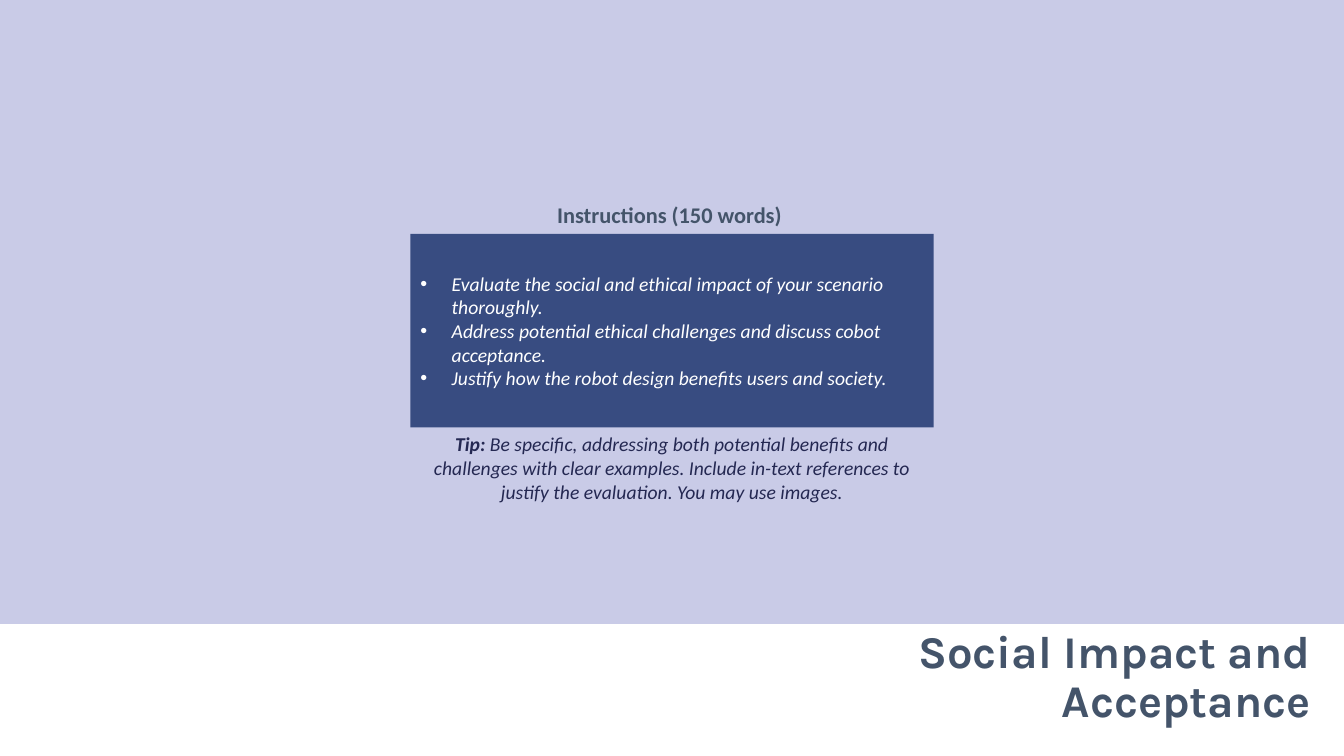
import pptx
import pptx.dml.color
import pptx.enum.shapes
import pptx.enum.text
import pptx.util

Inches = pptx.util.Inches
RGBColor = pptx.dml.color.RGBColor
ALIGN = pptx.enum.text.PP_ALIGN
MIDDLE = pptx.enum.text.MSO_ANCHOR.MIDDLE
TOP = pptx.enum.text.MSO_ANCHOR.TOP

LILAC = RGBColor(0xC9, 0xCB, 0xE7)
NAVY = RGBColor(0x38, 0x4C, 0x81)
SLATE = RGBColor(0x44, 0x54, 0x6A)
INDIGO = RGBColor(0x24, 0x28, 0x52)
WHITE = RGBColor(0xFF, 0xFF, 0xFF)

# Text styles
TITLE = {"name": "Karla", "size": pptx.util.Pt(32.4), "bold": True, "color": SLATE}
HEADING = {"name": "Calibri", "size": pptx.util.Pt(16), "bold": True, "color": SLATE}
LIST = {"name": "Calibri", "size": pptx.util.Pt(14), "italic": True, "color": WHITE}
TIP = {**LIST, "bold": False, "color": INDIGO}

# The card column
CARD_LEFT, CARD_WIDTH = 4.07, 5.19
HANGING = Inches(0.31)

INSTRUCTIONS = [
    "Evaluate the social and ethical impact of your scenario thoroughly.",
    "Address potential ethical challenges and discuss cobot acceptance.",
    "Justify how the robot design benefits users and society.",
]


def add_span(para, text, style):
    span = para.add_run()
    span.text = text
    for key, value in style.items():
        if key == "color":
            span.font.color.rgb = value
        else:
            setattr(span.font, key, value)


def format_para(para, align, line_spacing=1.0):
    values = {"alignment": align, "line_spacing": line_spacing,
              "space_before": pptx.util.Pt(0)}
    for key, value in values.items():
        setattr(para, key, value)


def format_frame(box, anchor):
    values = {"word_wrap": True, "vertical_anchor": anchor,
              "auto_size": pptx.enum.text.MSO_AUTO_SIZE.NONE}
    for key, value in values.items():
        setattr(box.text_frame, key, value)


def place(box, left, top, width, height):
    values = {"left": left, "top": top, "width": width, "height": height}
    for key, value in values.items():
        setattr(box, key, Inches(value))


def fill_box(box, color):
    box.fill.solid()
    box.fill.fore_color.rgb = color


def add_panel(page, left, top, width, height, color):
    panel = page.shapes.add_shape(
        pptx.enum.shapes.MSO_SHAPE.RECTANGLE,
        Inches(left), Inches(top), Inches(width), Inches(height))
    fill_box(panel, color)
    panel.line.fill.background()
    panel.shadow.inherit = False
    return panel


def write_title(page, text):
    title = page.shapes.title
    place(title, 6.51, 6.38, 6.59, 0.7)
    format_frame(title, MIDDLE)
    para = title.text_frame.paragraphs[0]
    format_para(para, ALIGN.RIGHT, 0.9)
    add_span(para, text, TITLE)


def write_list(page, items):
    body = page.placeholders[1]
    place(body, CARD_LEFT, 2.32, CARD_WIDTH, 1.92)
    fill_box(body, NAVY)
    format_frame(body, MIDDLE)
    for number, item in enumerate(items):
        frame = body.text_frame
        para = frame.add_paragraph() if number else frame.paragraphs[0]
        format_para(para, ALIGN.LEFT)
        # Hanging indent for the bullet
        properties = para._p.get_or_add_pPr()
        properties.set("marL", str(HANGING))
        properties.set("indent", str(-HANGING))
        add_span(para, item, LIST)


def write_heading(page, text):
    heading = add_panel(page, CARD_LEFT, 1.95, CARD_WIDTH, 0.36, LILAC)
    format_frame(heading, MIDDLE)
    para = heading.text_frame.paragraphs[0]
    format_para(para, ALIGN.CENTER)
    add_span(para, text, HEADING)


def write_tip(page, label, text):
    tip = page.shapes.add_textbox(
        Inches(CARD_LEFT), Inches(4.24), Inches(CARD_WIDTH), Inches(0.81))
    format_frame(tip, TOP)
    para = tip.text_frame.paragraphs[0]
    format_para(para, ALIGN.CENTER)
    add_span(para, label, {**TIP, "bold": True})
    add_span(para, text, TIP)


def main():
    deck = pptx.Presentation()
    deck.slide_width, deck.slide_height = Inches(13.33), Inches(7.5)
    page = deck.slides.add_slide(deck.slide_layouts[1])

    # Lilac backdrop, sent behind the placeholders
    backdrop = add_panel(page, 0, 0, 13.33, 6.19, LILAC)
    page.shapes.title._element.addprevious(backdrop._element)

    # Title and instruction card
    write_title(page, "Social Impact and Acceptance")
    write_list(page, INSTRUCTIONS)
    write_heading(page, "Instructions (150 words) ")
    write_tip(page, "Tip: ",
              "Be specific, addressing both potential benefits and challenges "
              "with clear examples. Include in-text references to justify the "
              "evaluation. You may use images.")

    deck.save("out.pptx")


if __name__ == "__main__":
    main()
